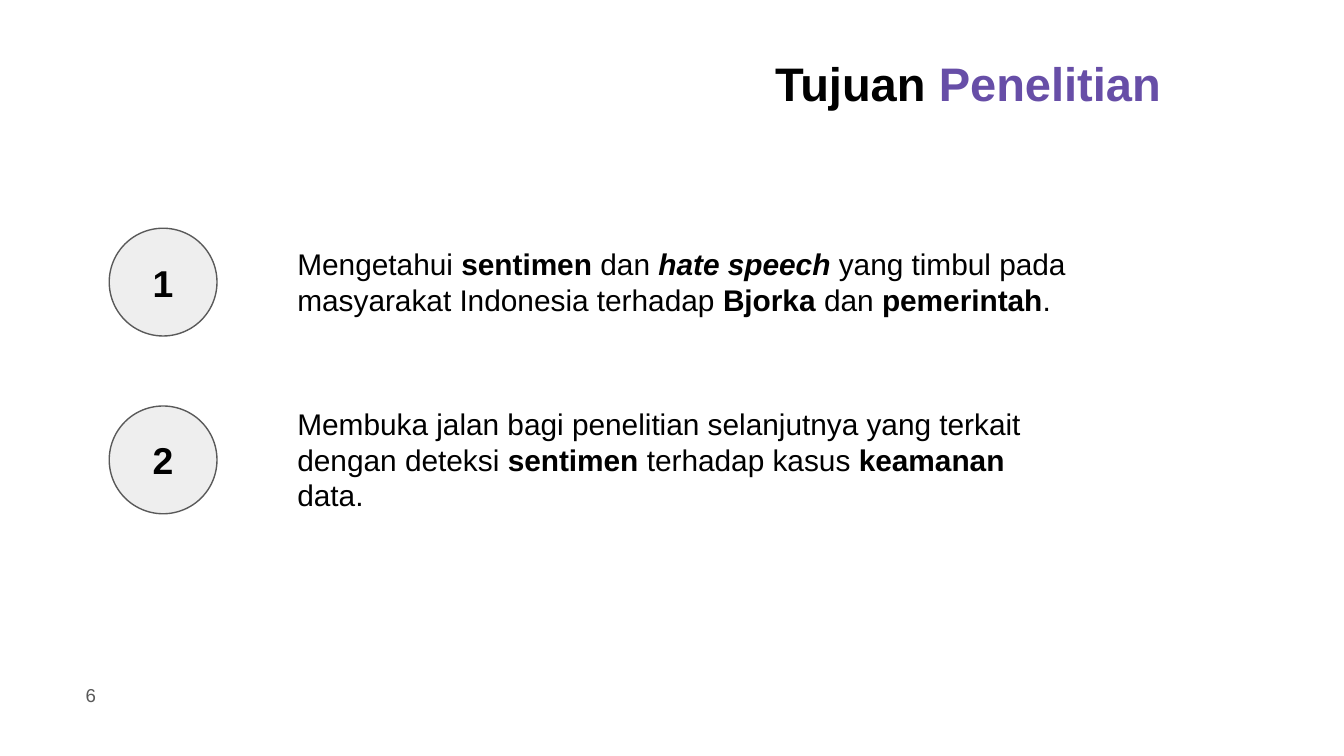
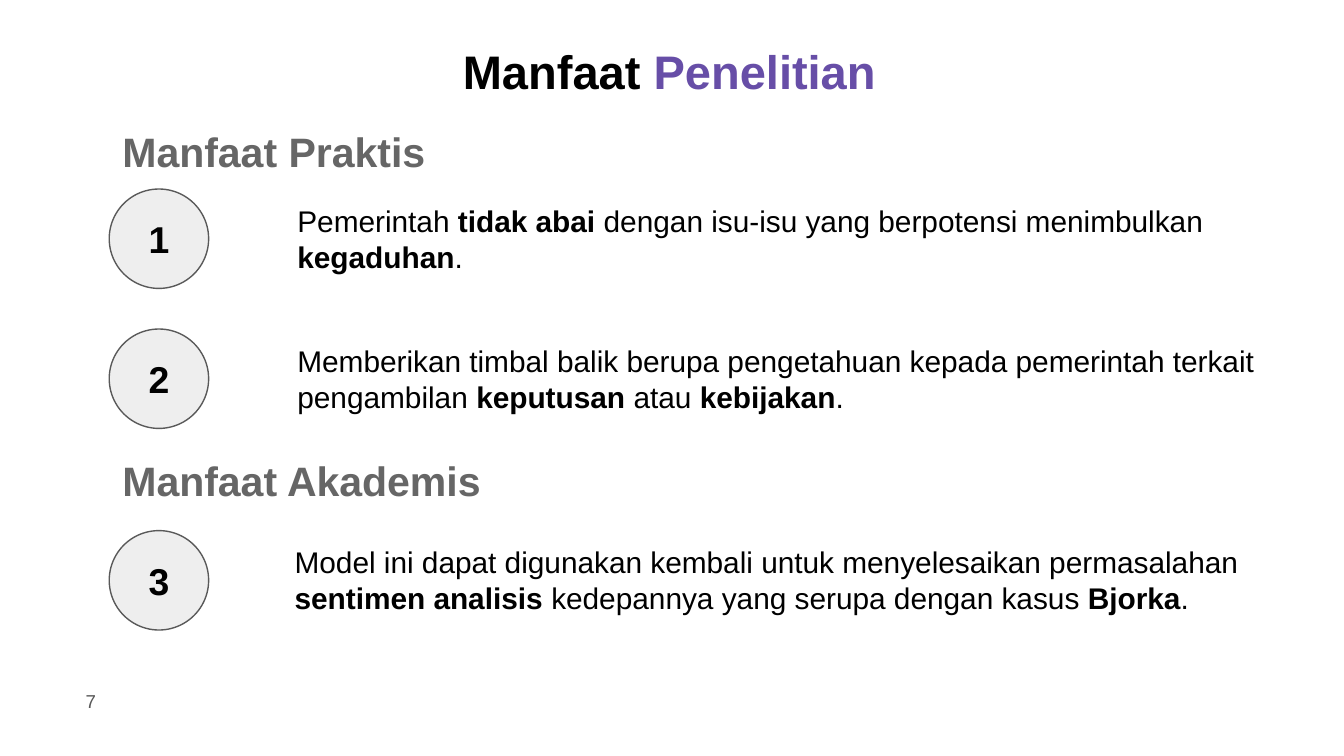
from pptx import Presentation
from pptx.dml.color import RGBColor
from pptx.enum import shapes, text
from pptx.util import Pt

PX = 9525  # 96 px to the inch
BLACK = RGBColor(0x00, 0x00, 0x00)
PURPLE = RGBColor(0x67, 0x4E, 0xA7)
HEADING = RGBColor(0x66, 0x66, 0x66)
GREY = RGBColor(0x59, 0x59, 0x59)
LIGHT = RGBColor(0xEE, 0xEE, 0xEE)
ALIGN, ANCHOR = text.PP_ALIGN, text.MSO_ANCHOR


def box(*px):
    return [v * PX for v in px]


def write(sp, runs, size, align=ALIGN.LEFT, anchor=ANCHOR.TOP):
    """Fill a shape with runs given as (text, colour, style); style holds b and i."""
    tf = sp.text_frame
    tf.word_wrap = True
    tf.auto_size = text.MSO_AUTO_SIZE.NONE
    tf.vertical_anchor = anchor
    tf.margin_left = tf.margin_right = tf.margin_top = tf.margin_bottom = Pt(7.2)
    p = tf.paragraphs[0]
    p.alignment = align
    p.line_spacing = 1.0
    p.space_before = Pt(0)
    for words, colour, style in runs:
        r = p.add_run()
        r.text = words
        r.font.name = "Arial"
        r.font.size = Pt(size)
        r.font.color.rgb = colour
        r.font.bold = "b" in style
        r.font.italic = "i" in style


# Content: points are (circle top, text box, runs)
SLIDES = [
    {
        "title": "Tujuan ", "title_at": (544, 29), "number": "6", "number_top": 476,
        "circle": 77, "headings": [],
        "points": [
            (163, (203, 166, 572, 71), [
                ("Mengetahui ", ""), ("sentimen ", "b"), ("dan ", ""),
                ("hate speech", "bi"),
                (" yang timbul pada masyarakat Indonesia terhadap ", ""),
                ("Bjorka ", "b"), ("dan ", ""), ("pemerintah", "b"), (".", "")]),
            (290, (203, 280, 572, 97), [
                ("Membuka jalan bagi penelitian selanjutnya yang terkait "
                 "dengan deteksi ", ""),
                ("sentimen ", "b"), ("terhadap kasus ", ""),
                ("keamanan", "b"), (" data.", "")]),
        ],
    },
    {
        "title": "Manfaat ", "title_at": (321, 21), "number": "7", "number_top": 480,
        "circle": 71,
        "headings": [("Manfaat Praktis", 81), ("Manfaat Akademis", 316)],
        "points": [
            (135, (203, 135, 712, 71), [
                ("Pemerintah", ""), (" tidak abai", "b"),
                (" dengan isu-isu yang berpotensi menimbulkan ", ""),
                ("kegaduhan", "b"), (".", "")]),
            (235, (203, 235, 712, 71), [
                ("Memberikan timbal balik berupa pengetahuan kepada "
                 "pemerintah terkait pengambilan ", ""),
                ("keputusan ", "b"), ("atau ", ""), ("kebijakan", "b"), (".", "")]),
            (379, (201, 379, 717, 71), [
                ("Model ini dapat digunakan kembali untuk menyelesaikan "
                 "permasalahan ", ""),
                ("sentimen analisis ", "b"),
                ("kedepannya yang serupa dengan kasus ", ""),
                ("Bjorka", "b"), (".", "")]),
        ],
    },
]

prs = Presentation()
prs.slide_width, prs.slide_height = box(960, 540)

for page in SLIDES:
    s = prs.slides.add_slide(prs.slide_layouts[5])

    # Title in two colours
    title = s.shapes.title
    title.left, title.top, title.width, title.height = box(*page["title_at"], 895, 60)
    write(title, [(page["title"], BLACK, "b"), ("Penelitian", PURPLE, "b")], 25.2)

    # Section headings
    for words, top in page["headings"]:
        sp = s.shapes.add_textbox(*box(78, top, 315, 55))
        write(sp, [(words, HEADING, "b")], 22)

    # Numbered circles with their points
    d = page["circle"]
    for n, (top, place, runs) in enumerate(page["points"], 1):
        sp = s.shapes.add_shape(shapes.MSO_SHAPE.OVAL, *box(78, top, d, d))
        sp.shadow.inherit = False
        sp.fill.solid()
        sp.fill.fore_color.rgb = LIGHT
        sp.line.color.rgb = GREY
        sp.line.width = Pt(0.75)
        write(sp, [(str(n), BLACK, "b")], 20, ALIGN.CENTER, ANCHOR.MIDDLE)

        sp = s.shapes.add_textbox(*box(*place))
        write(sp, [(words, BLACK, style) for words, style in runs], 16)

    # Page number
    sp = s.shapes.add_textbox(*box(20, page["number_top"], 58, 41))
    write(sp, [(page["number"], GREY, "")], 10, ALIGN.RIGHT, ANCHOR.MIDDLE)

prs.save("out.pptx")
